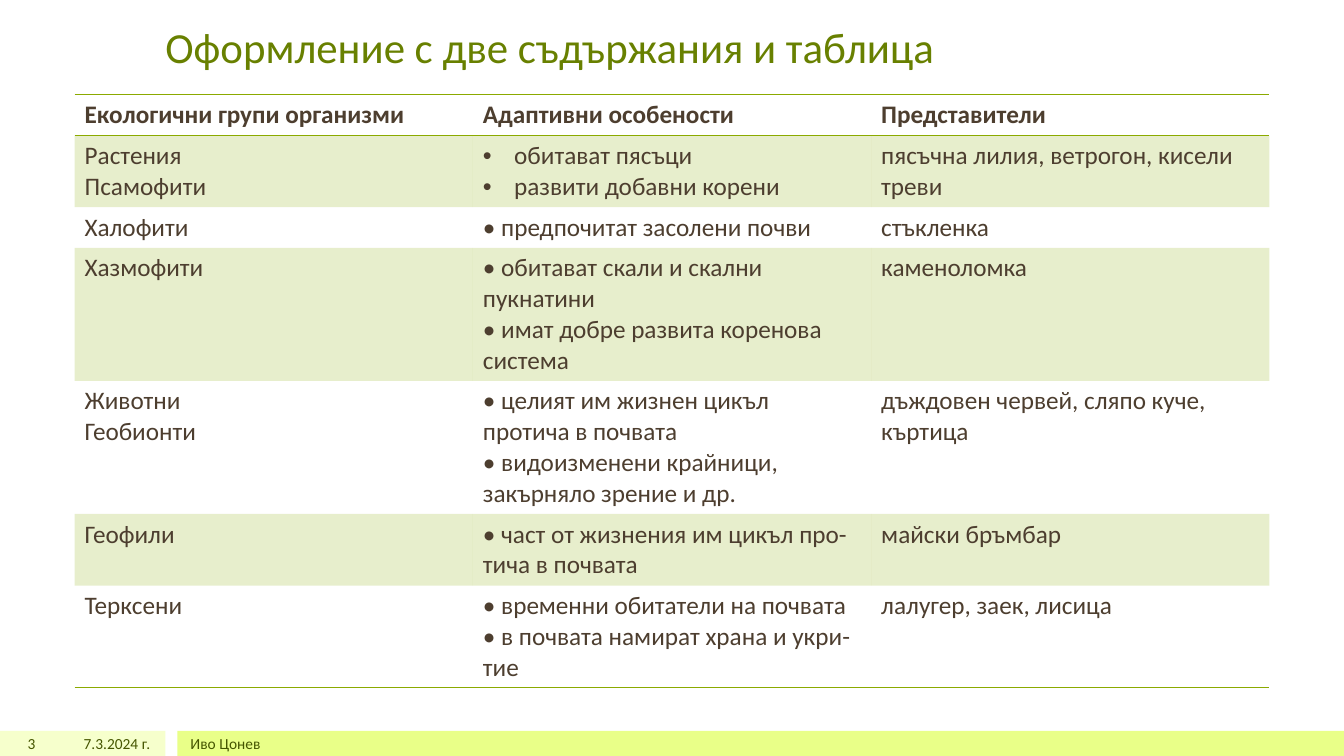
"""Builds a slide with a table of soil organisms, their adaptations and examples."""
from dataclasses import dataclass

from lxml import etree
from pptx import Presentation
from pptx.dml.color import RGBColor as RGB
from pptx.enum.shapes import MSO_SHAPE as SHAPE
from pptx.enum.text import MSO_ANCHOR as ANCHOR, MSO_AUTO_SIZE as AUTO, PP_ALIGN as ALIGN
from pptx.oxml.ns import qn
from pptx.util import Inches, Pt

TITLE = "Оформление с две съдържания и таблица"
ROWS = [
    (["Екологични групи организми"], ["Адаптивни особености"], ["Представители"]),
    (["Растения", "Псамофити"], ["обитават пясъци", "развити добавни корени"],
     ["пясъчна лилия, ветрогон, кисели треви"]),
    (["Халофити"], ["• предпочитат засолени почви"], ["стъкленка"]),
    (["Хазмофити"],
     ["• обитават скали и скални пукнатини", "• имат добре развита коренова система"],
     ["каменоломка"]),
    (["Животни", "Геобионти"],
     ["• целият им жизнен цикъл протича в почвата",
      "• видоизменени крайници, закърняло зрение и др."],
     ["дъждовен червей, сляпо куче, къртица"]),
    (["Геофили"], ["• част от жизнения им цикъл про-\nтича в почвата"], ["майски бръмбар"]),
    (["Терксени"],
     ["• временни обитатели на почвата\n• в почвата намират храна и укри-\nтие"],
     ["лалугер, заек, лисица"]),
]
ROW_LINES = [1, 2, 1, 4, 4, 2, 3]
BULLETED = {(1, 1)}
FOOTER = [
    ("3", 0, 0.45, ALIGN.RIGHT),
    ("Иво Цонев", 1.79, 10, ALIGN.LEFT),
    ("7.3.2024 г.", 0.5, 1.09, ALIGN.RIGHT),
]
BARS = [(0, 1.64, "F6FFCC"), (1.76, 11.57, "E9FF88")]
FOOTER_TOP, FOOTER_HEIGHT = 7.25, 0.25
TABLE_LEFT, TABLE_TOP, COLUMN_WIDTH = 0.74, 0.94, 3.95
LINE_HEIGHT, CELL_PADDING = 0.305, 0.1
BULLET_INDENT = 0.31
PLAIN_STYLE = "{2D5ABB26-0587-4C30-8999-92F81FD0307C}"


@dataclass(frozen=True)
class Theme:
    font: str = "Calibri"
    title: str = "688000"
    body: str = "4D3E2F"
    footer: str = "455500"
    accent: str = "8BAA00"
    band_alpha: int = 20
    title_size: float = 30.6
    body_size: float = 18
    footer_size: float = 11


THEME = Theme()


def add_run(p, text, size, color, bold=False):
    r = p.add_run()
    r.text = text
    r.font.name, r.font.size, r.font.bold = THEME.font, Pt(size), bold
    r.font.color.rgb = RGB.from_string(color)


def add_bullet(p):
    pPr = p._p.get_or_add_pPr()
    pPr.set("marL", str(Inches(BULLET_INDENT)))
    pPr.set("indent", str(-Inches(BULLET_INDENT)))
    etree.SubElement(pPr, qn("a:buFont")).set("typeface", "Arial")
    etree.SubElement(pPr, qn("a:buChar")).set("char", "•")


def add_border(cell, side):
    ln = etree.Element(qn(f"a:{side}"), w=str(Pt(1)))
    fill = etree.SubElement(ln, qn("a:solidFill"))
    etree.SubElement(fill, qn("a:srgbClr")).set("val", THEME.accent)
    cell._tc.get_or_add_tcPr().append(ln)


def fill_cell(cell, banded):
    if not banded:
        cell.fill.background()
        return
    cell.fill.solid()
    cell.fill.fore_color.rgb = RGB.from_string(THEME.accent)
    color = cell._tc.tcPr.find(".//" + qn("a:solidFill") + "/" + qn("a:srgbClr"))
    etree.SubElement(color, qn("a:alpha")).set("val", str(THEME.band_alpha * 1000))


def write_cell(cell, paragraphs, bold, bulleted):
    tf = cell.text_frame
    for i, text in enumerate(paragraphs):
        p = tf.add_paragraph() if i else tf.paragraphs[0]
        if bulleted:
            add_bullet(p)
        for n, line in enumerate(text.split("\n")):
            if n:
                p.add_line_break()
            add_run(p, line, THEME.body_size, THEME.body, bold)


def add_table(s):
    heights = [CELL_PADDING + LINE_HEIGHT * n for n in ROW_LINES]
    columns = len(ROWS[0])
    table = s.shapes.add_table(
        len(ROWS), columns, Inches(TABLE_LEFT), Inches(TABLE_TOP),
        Inches(COLUMN_WIDTH * columns), Inches(sum(heights))).table
    table._tbl.tblPr.find(qn("a:tableStyleId")).text = PLAIN_STYLE
    for column in table.columns:
        column.width = Inches(COLUMN_WIDTH)
    for i, row in enumerate(ROWS):
        table.rows[i].height = Inches(heights[i])
        for j, paragraphs in enumerate(row):
            cell = table.cell(i, j)
            write_cell(cell, paragraphs, i == 0, (i, j) in BULLETED)
            if i == 0:
                add_border(cell, "lnT")
            if i in (0, len(ROWS) - 1):
                add_border(cell, "lnB")
            fill_cell(cell, i % 2 == 1)


def add_title(s):
    sp = s.shapes.title
    sp.left, sp.top, sp.width, sp.height = map(Inches, (1.54, 0.16, 10.25, 0.61))
    tf = sp.text_frame
    tf.auto_size, tf.vertical_anchor, tf.word_wrap = AUTO.NONE, ANCHOR.BOTTOM, True
    p = tf.paragraphs[0]
    p.alignment = ALIGN.LEFT
    add_run(p, TITLE, THEME.title_size, THEME.title)


def add_footer(s):
    top, height = Inches(FOOTER_TOP), Inches(FOOTER_HEIGHT)
    for left, width, color in BARS:
        sp = s.shapes.add_shape(SHAPE.RECTANGLE, Inches(left), top, Inches(width), height)
        sp.shadow.inherit = False
        sp.fill.solid()
        sp.fill.fore_color.rgb = RGB.from_string(color)
        sp.line.fill.background()
    for text, left, width, align in FOOTER:
        tf = s.shapes.add_textbox(Inches(left), top, Inches(width), height).text_frame
        tf.word_wrap, tf.vertical_anchor = True, ANCHOR.MIDDLE
        p = tf.paragraphs[0]
        p.alignment = align
        add_run(p, text, THEME.footer_size, THEME.footer)


def main():
    prs = Presentation()
    prs.slide_width, prs.slide_height = Inches(13.33), Inches(7.5)
    s = prs.slides.add_slide(prs.slide_layouts.get_by_name("Title Only"))
    add_title(s)
    add_footer(s)
    add_table(s)
    prs.save("out.pptx")


if __name__ == "__main__":
    main()
